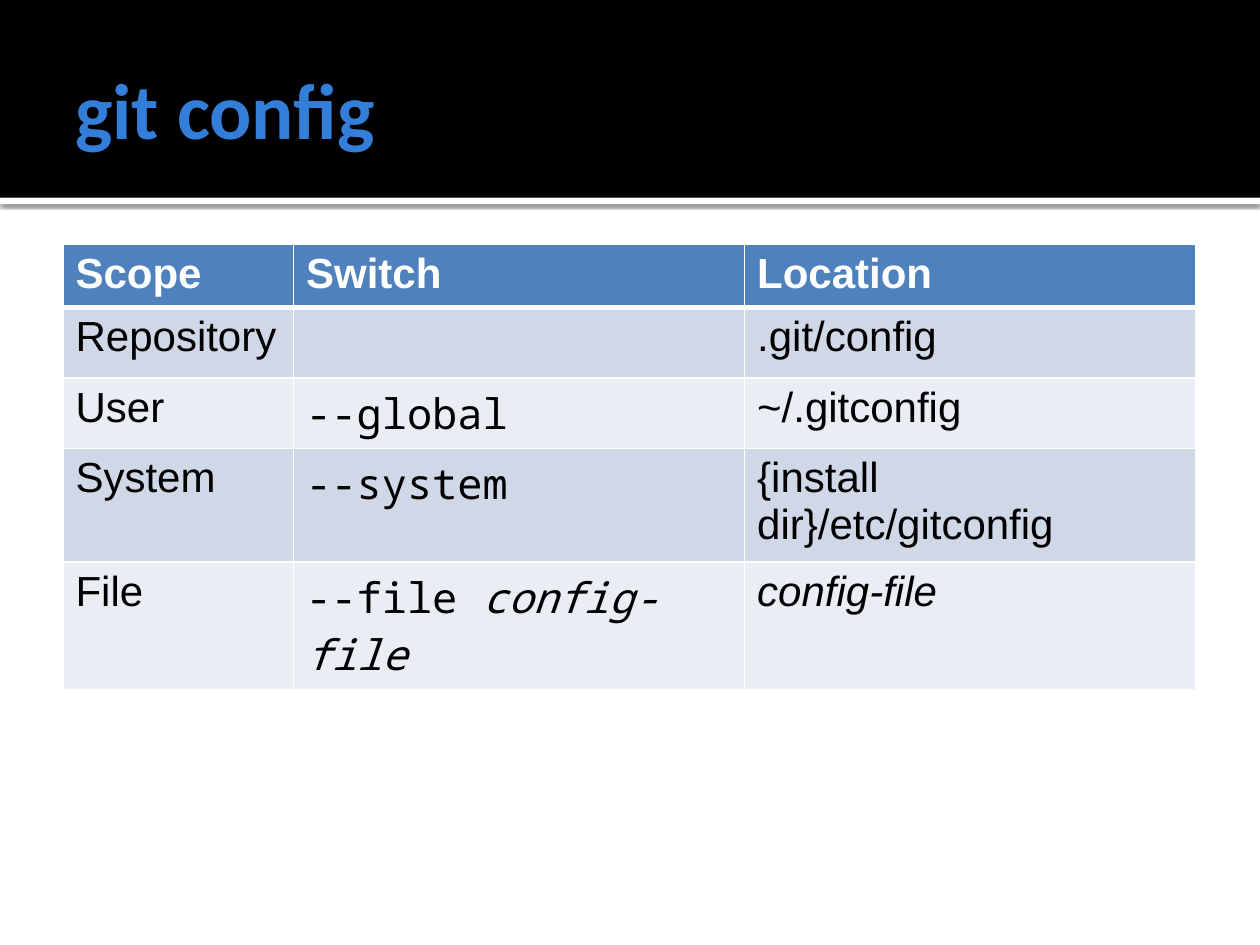
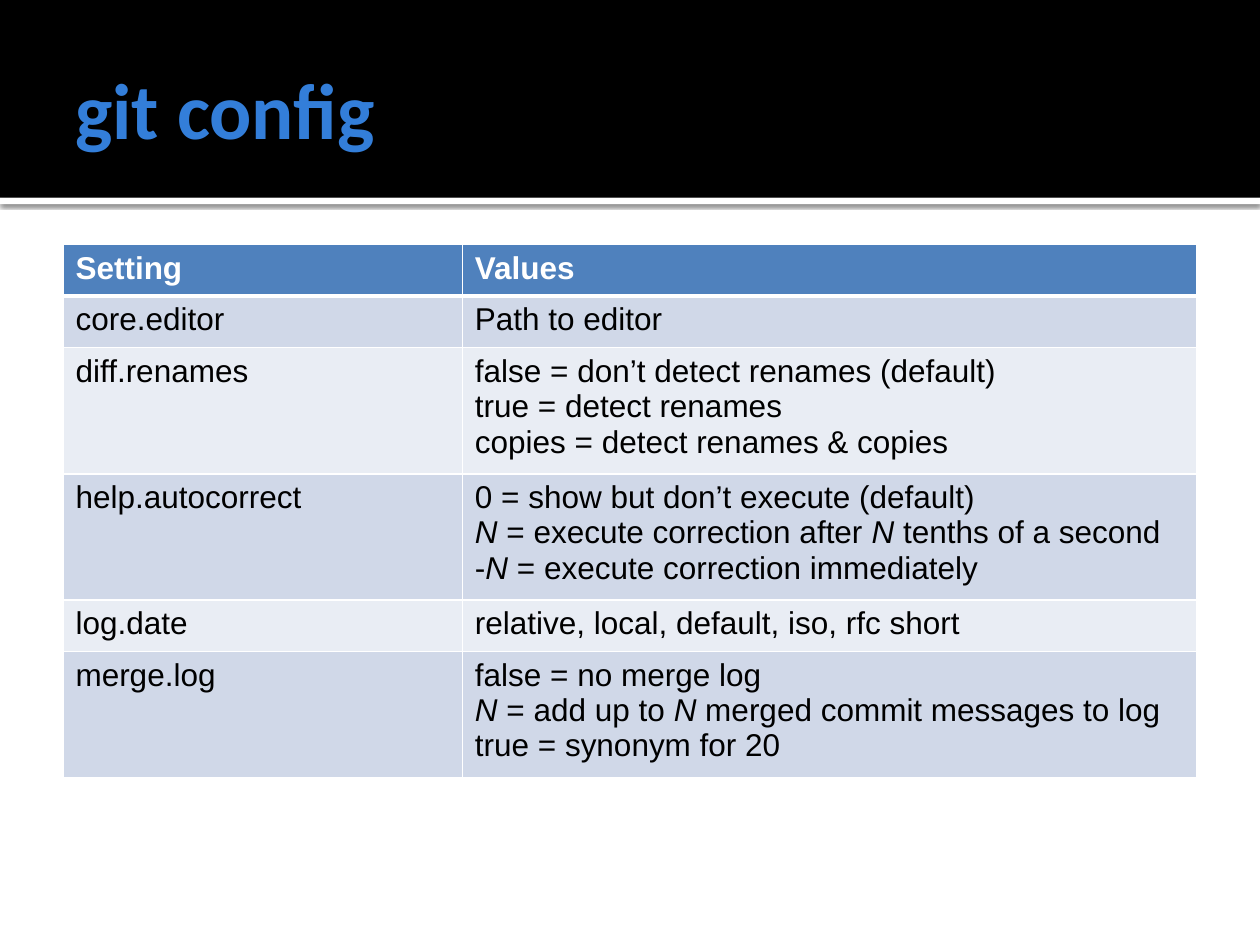
from lxml.etree import SubElement
from pptx import Presentation
from pptx.dml.color import RGBColor
from pptx.enum.shapes import MSO_SHAPE
from pptx.enum.text import MSO_ANCHOR
from pptx.oxml import parse_xml
from pptx.oxml.ns import nsdecls, qn
from pptx.util import Inches, Pt

BLACK = RGBColor(0x00, 0x00, 0x00)
WHITE = RGBColor(0xFF, 0xFF, 0xFF)
TITLE_BLUE = RGBColor(0x33, 0x7E, 0xD9)
HEADER_BLUE = RGBColor(0x4F, 0x81, 0xBD)
BANDS = (RGBColor(0xD0, 0xD8, 0xE8), RGBColor(0xE9, 0xED, 0xF4))

TITLE_FONT = "Calibri"
BODY_FONT = "Arial"
CODE_FONT = "Noto Sans Mono"

SLIDE_WIDTH, SLIDE_HEIGHT = 10, 7.5
MARGIN = 0.05 * SLIDE_WIDTH
CONTENT_WIDTH = SLIDE_WIDTH - 2 * MARGIN
BAND_HEIGHT = 1.57
STRIPE_HEIGHT = 0.05
TABLE_TOP = 1.94

SCOPE_ROWS = [
    ("Scope", "Switch", "Location"),
    ("Repository", "", ".git/config"),
    ("User", "--global", "~/.gitconfig"),
    ("System", "--system", "{install dir}/etc/gitconfig"),
    ("File", "--file *config-file*", "*config-file*"),
]
SETTING_ROWS = [
    ("Setting", "Values"),
    ("core.editor", "Path to editor"),
    ("diff.renames", "false = don’t detect renames (default)\v"
     "true = detect renames\ncopies = detect renames & copies"),
    ("help.autocorrect", "0 = show but don’t execute (default)\n"
     "*N* = execute correction after *N* tenths of a second\n"
     "-*N* = execute correction immediately"),
    ("log.date", "relative, local, default, iso, rfc short"),
    ("merge.log", "false = no merge log\n"
     "*N* = add up to *N* merged commit messages to log\n"
     "true = synonym for 20"),
]


def style_font(font, name, size, color, bold=False, italic=False):
    """Set the face, size, colour and weight of a font."""
    font.name, font.size = name, Pt(size)
    font.bold, font.italic = bold, italic
    font.color.rgb = color


def add_bar(slide, top, height, color):
    """Draw a full-width bar without an outline."""
    bar = slide.shapes.add_shape(MSO_SHAPE.RECTANGLE, 0, Inches(top),
                                 Inches(SLIDE_WIDTH), Inches(height))
    bar.shadow.inherit = False
    bar.fill.solid()
    bar.fill.fore_color.rgb = color
    bar.line.fill.background()
    return bar


def add_soft_shadow(shape):
    """Give a shape a soft shadow that falls straight down."""
    effects = shape._element.spPr.find(qn("a:effectLst"))
    effects.append(parse_xml(
        f'<a:outerShdw {nsdecls("a")} blurRad="{Pt(2.5)}" dist="{Pt(0.8)}" '
        f'dir="5400000" rotWithShape="0"><a:srgbClr val="{BLACK}">'
        '<a:alpha val="60000"/></a:srgbClr></a:outerShdw>'))


def add_title(slide, text):
    """Write the slide title in the top band."""
    box = slide.shapes.add_textbox(Inches(MARGIN), Inches(0.17),
                                   Inches(CONTENT_WIDTH), Inches(1.37))
    frame = box.text_frame
    frame.word_wrap = True
    frame.vertical_anchor = MSO_ANCHOR.MIDDLE
    frame.margin_right = Inches(0.05)
    frame.text = text
    style_font(frame.paragraphs[0].runs[0].font, TITLE_FONT, 45, TITLE_BLUE, bold=True)


def add_titled_slide(presentation, title):
    """Add a blank slide with the shared band, stripe and title."""
    slide = presentation.slides.add_slide(presentation.slide_layouts[6])
    add_soft_shadow(add_bar(slide, BAND_HEIGHT, STRIPE_HEIGHT, WHITE))
    add_bar(slide, 0, BAND_HEIGHT, BLACK)
    add_title(slide, title)
    return slide


def set_borders(cell, top, bottom):
    """Draw white borders around a cell, one point wide at the sides."""
    properties = cell._tc.get_or_add_tcPr()
    for side, width in (("L", 1), ("R", 1), ("T", top), ("B", bottom)):
        line = SubElement(properties, qn(f"a:ln{side}"), w=str(Pt(width)))
        fill = SubElement(line, qn("a:solidFill"))
        SubElement(fill, qn("a:srgbClr"), val=str(WHITE))


def write_cell(cell, text, font_name, size, color, bold):
    """Write paragraphs into a cell, with starred parts in italics."""
    frame = cell.text_frame
    for index, content in enumerate(text.split("\n")):
        paragraph = frame.add_paragraph() if index else frame.paragraphs[0]
        for line_index, line in enumerate(content.split("\v")):
            if line_index:
                paragraph.add_line_break()
            for part_index, part in enumerate(line.split("*")):
                if part:
                    run = paragraph.add_run()
                    run.text = part
                    style_font(run.font, font_name, size, color, bold,
                               italic=part_index % 2 == 1)


def add_banded_table(slide, rows, column_widths, row_heights, size, code_column=None):
    """Add a table with a blue header and banded rows."""
    frame = slide.shapes.add_table(
        len(rows), len(column_widths), Inches(MARGIN), Inches(TABLE_TOP),
        Inches(sum(column_widths)), Inches(sum(row_heights)))
    table = frame.table
    table.horz_banding = False
    for column, width in zip(table.columns, column_widths):
        column.width = Inches(width)
    for row_index, (texts, height) in enumerate(zip(rows, row_heights)):
        table.rows[row_index].height = Inches(height)
        header = row_index == 0
        for column_index, text in enumerate(texts):
            cell = table.cell(row_index, column_index)
            set_borders(cell, top=3 if row_index == 1 else 1, bottom=3 if header else 1)
            cell.fill.solid()
            cell.fill.fore_color.rgb = HEADER_BLUE if header else BANDS[(row_index - 1) % 2]
            is_code = column_index == code_column and not header
            write_cell(cell, text, CODE_FONT if is_code else BODY_FONT, size,
                       WHITE if header else BLACK, bold=header)


def main():
    """Build both slides and save the presentation."""
    presentation = Presentation()
    presentation.slide_width = Inches(SLIDE_WIDTH)
    presentation.slide_height = Inches(SLIDE_HEIGHT)

    scopes = add_titled_slide(presentation, "git config")
    add_banded_table(scopes, SCOPE_ROWS, (1.83, 3.58, 3.58),
                     (0.47, 0.56, 0.56, 0.84, 1.01), size=24, code_column=1)

    settings = add_titled_slide(presentation, "git config")
    add_banded_table(settings, SETTING_ROWS, (3.17, 5.83),
                     (0.41, 0.41, 0.94, 0.94, 0.41, 0.94), size=18)

    presentation.save("out.pptx")


if __name__ == "__main__":
    main()
